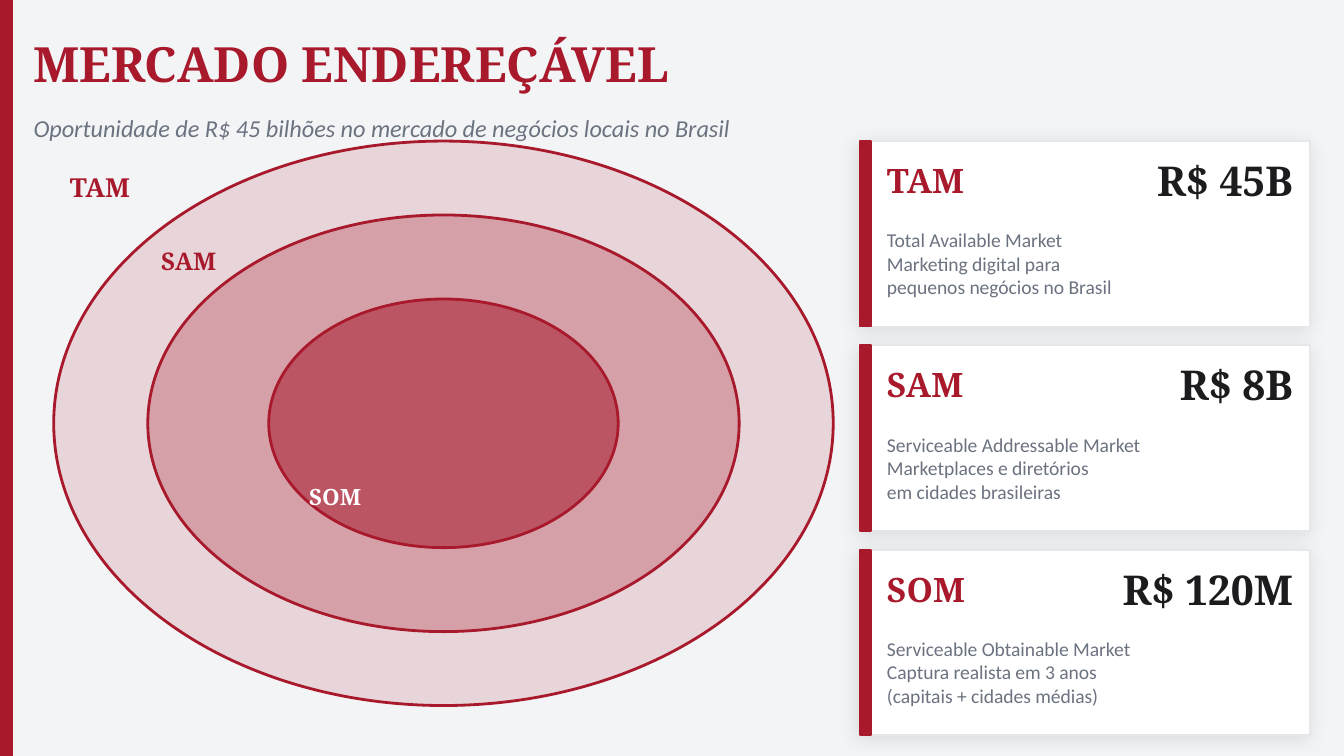
from lxml import etree
from pptx import Presentation
from pptx.dml.color import RGBColor
from pptx.enum import shapes, text
from pptx.oxml import ns
from pptx.util import Inches, Pt

RED, GRAY, INK, WHITE = "A8192C", "6B7280", "1C1C1E", "FFFFFF"
SERIF, SANS = "Noto Serif", "Calibri"
LEFT, RIGHT = text.PP_ALIGN.LEFT, text.PP_ALIGN.RIGHT
RECT, OVAL = shapes.MSO_SHAPE.RECTANGLE, shapes.MSO_SHAPE.OVAL

# Widescreen 16:9 slide
slide_width = 10
slide_height = slide_width * 9 / 16
prs = Presentation()
prs.slide_width, prs.slide_height = Inches(slide_width), Inches(slide_height)
slide = prs.slides.add_slide(prs.slide_layouts[5])
slide.background.fill.solid()
slide.background.fill.fore_color.rgb = RGBColor.from_string("F3F4F6")


def add_block(kind, box, fill, line, width=1, alpha=None):
    block = slide.shapes.add_shape(kind, *map(Inches, box))
    block.shadow.inherit = False
    block.fill.solid()
    block.fill.fore_color.rgb = RGBColor.from_string(fill)
    block.line.color.rgb = RGBColor.from_string(line)
    block.line.width = Pt(width)
    if alpha:
        color = block.fill._xPr.find(".//" + ns.qn("a:srgbClr"))
        etree.SubElement(color, ns.qn("a:alpha"), val=str(alpha * 1000))
    return block


def write(box, lines, size, color, font=SERIF, bold=True, italic=False,
          align=LEFT, holder=None):
    holder = holder or slide.shapes.add_textbox(0, 0, 0, 0)
    holder.left, holder.top, holder.width, holder.height = map(Inches, box)
    frame = holder.text_frame
    frame.word_wrap = True
    frame.auto_size = text.MSO_AUTO_SIZE.NONE
    frame.vertical_anchor = text.MSO_ANCHOR.MIDDLE
    frame.margin_left = frame.margin_right = 0
    frame.margin_top = frame.margin_bottom = 0
    for i, line in enumerate(lines):
        paragraph = frame.add_paragraph() if i else frame.paragraphs[0]
        paragraph.alignment = align
        run = paragraph.add_run()
        run.text = line
        run.font.size, run.font.name = Pt(size), font
        run.font.bold, run.font.italic = bold, italic
        run.font.color.rgb = RGBColor.from_string(color)


# Side bar and heading
add_block(RECT, (0, 0, 0.09, slide_height), RED, RED)
write((0.25, 0.18, 9.5, 0.58), ["MERCADO ENDEREÇÁVEL"], 26, RED,
      holder=slide.shapes.title)
write((0.25, 0.78, 9.5, 0.34),
      ["Oportunidade de R$ 45 bilhões no mercado de negócios locais no Brasil"],
      13, GRAY, SANS, bold=False, italic=True)

# Nested market ellipses around one centre
center_x, center_y = 3.3, 3.15
for width, height, alpha in [(5.8, 4.2, 14), (4.4, 3.1, 28), (2.6, 1.85, 55)]:
    add_block(OVAL, (center_x - width / 2, center_y - height / 2, width, height),
              RED, RED, 1.5, alpha)

# Ellipse labels
for label, box, size, color in [
    ("TAM", (0.52, 1.2, 1, 0.38), 14, RED),
    ("SAM", (1.2, 1.75, 1, 0.38), 13, RED),
    ("SOM", (2.3, 3.52, 0.9, 0.35), 12, WHITE),
]:
    write(box, [label], size, color)

# Market cards
markets = [
    ("TAM", "R$ 45B", ["Total Available Market", "Marketing digital para",
                       "pequenos negócios no Brasil"]),
    ("SAM", "R$ 8B", ["Serviceable Addressable Market",
                      "Marketplaces e diretórios", "em cidades brasileiras"]),
    ("SOM", "R$ 120M", ["Serviceable Obtainable Market",
                        "Captura realista em 3 anos",
                        "(capitais + cidades médias)"]),
]
for i, (market, value, description) in enumerate(markets):
    top = 1.05 + i * 1.52
    card = add_block(RECT, (6.4, top, 3.35, 1.38), WHITE, "E5E7EB")
    effects = card._element.spPr.find(ns.qn("a:effectLst"))
    shadow = etree.SubElement(
        effects, ns.qn("a:outerShdw"), blurRad=str(Pt(10)), dist=str(Pt(2)),
        dir=str(135 * 60000), algn="bl", rotWithShape="0")
    shade = etree.SubElement(shadow, ns.qn("a:srgbClr"), val="000000")
    etree.SubElement(shade, ns.qn("a:alpha"), val="9000")
    add_block(RECT, (6.4, top, 0.08, 1.38), RED, RED)
    write((6.6, top + 0.1, 0.9, 0.38), [market], 18, RED)
    write((7.4, top + 0.06, 2.22, 0.46), [value], 22, INK, align=RIGHT)
    write((6.6, top + 0.52, 3, 0.78), description, 10.5, GRAY, SANS, bold=False)

prs.save("out.pptx")
